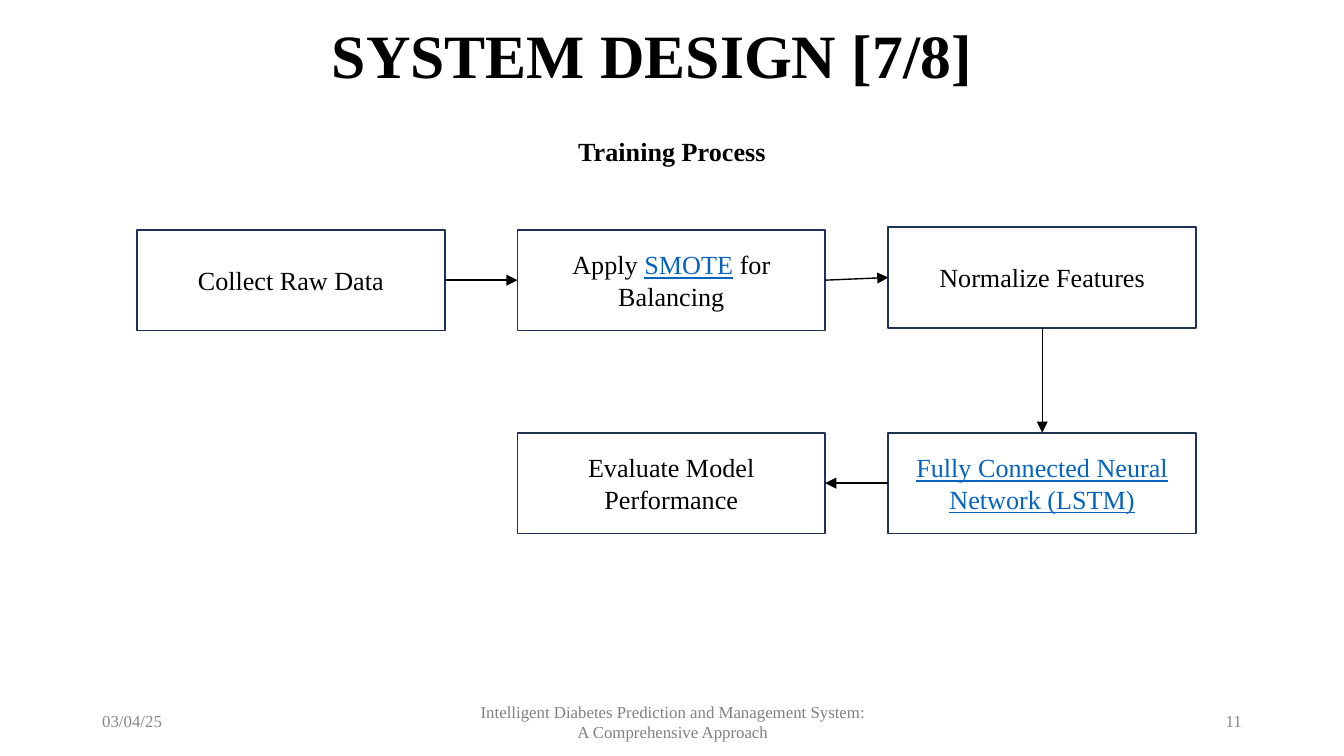
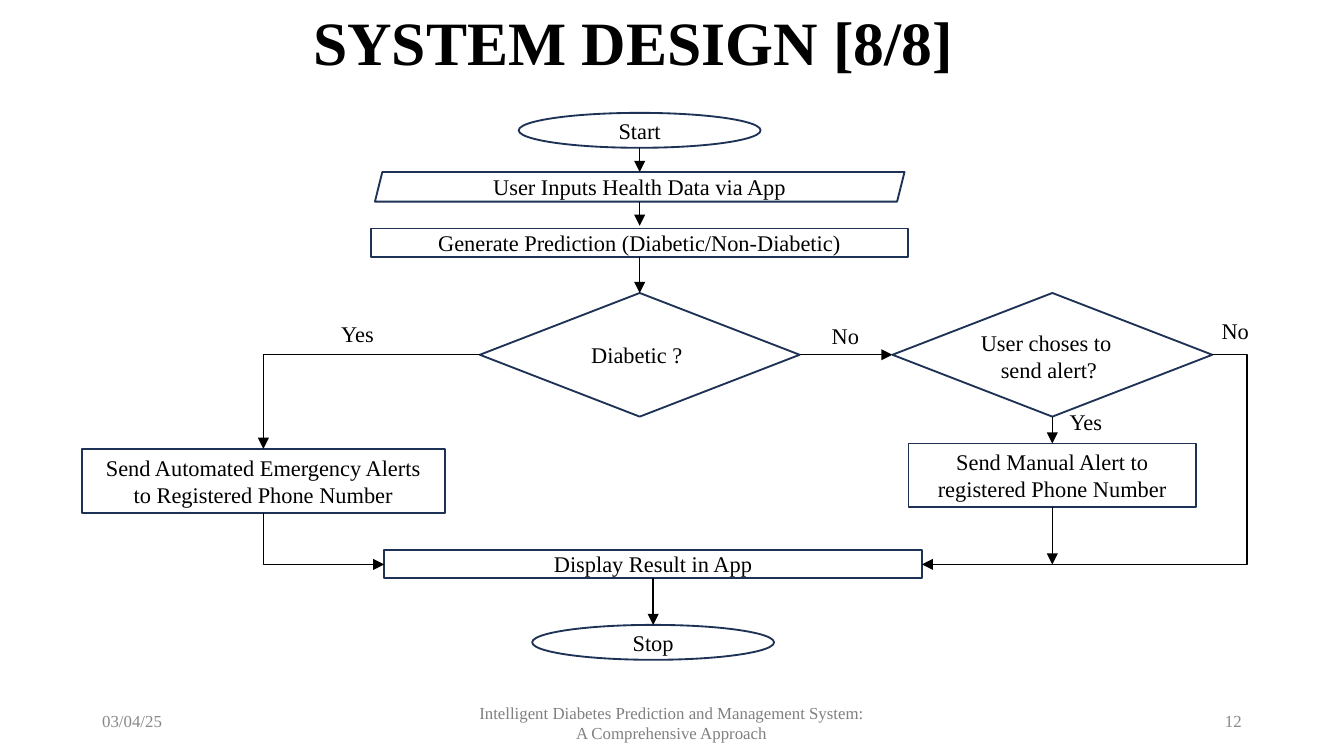
from pptx import Presentation
from pptx.dml.color import RGBColor
from pptx.enum.shapes import MSO_CONNECTOR, MSO_SHAPE
from pptx.enum.text import MSO_ANCHOR, MSO_AUTO_SIZE, PP_ALIGN
from pptx.oxml.ns import qn
from pptx.util import Inches, Pt
from lxml.etree import SubElement

FONT = "Times New Roman"
COLORS = {
    "text": "000000",
    "link": "0563C1",
    "outline": "1E3256",
    "arrow": "000000",
    "date": "888888",
    "footer": "808080",
    "background": "FFFFFF",
}
TOP, LEFT, BOTTOM, RIGHT = range(4)


def rgb(name):
    return RGBColor.from_string(COLORS[name])


def style_text(frame, size, color="text", bold=False, align=PP_ALIGN.CENTER):
    frame.word_wrap = True
    for paragraph in frame.paragraphs:
        paragraph.alignment = align
        for run in paragraph.runs:
            run.font.name = FONT
            run.font.size = Pt(size)
            run.font.bold = bold
            run.font.color.rgb = rgb(color)


def tighten(frame):
    """Middle anchoring and the narrow margins of titles and footers."""
    frame.auto_size = MSO_AUTO_SIZE.NONE
    frame.vertical_anchor = MSO_ANCHOR.MIDDLE
    frame.margin_left = frame.margin_right = Inches(0.07)
    frame.margin_top = frame.margin_bottom = Inches(0.04)


def add_label(slide, box, text, size=12, **style):
    label = slide.shapes.add_textbox(*map(Inches, box))
    label.text_frame.text = text
    style_text(label.text_frame, size, **style)
    return label


def add_step(slide, kind, box, text, size):
    step = slide.shapes.add_shape(kind, *map(Inches, box))
    step.shadow.inherit = False
    step.fill.background()
    step.line.color.rgb = rgb("outline")
    step.line.width = Pt(1)
    step.text_frame.text = text
    step.text_frame.vertical_anchor = MSO_ANCHOR.MIDDLE
    style_text(step.text_frame, size)
    return step


def mark_link(run):
    run.font.color.rgb = rgb("link")
    run.font.underline = True


def add_arrow(slide, start, end, kind=MSO_CONNECTOR.STRAIGHT, arrow_at="tail"):
    """Draw between two (x, y) points in inches."""
    arrow = slide.shapes.add_connector(kind, *map(Inches, (*start, *end)))
    arrow.line.color.rgb = rgb("arrow")
    arrow.line.width = Pt(0.75)
    properties = arrow._element.spPr
    SubElement(properties.find(qn("a:ln")), qn(f"a:{arrow_at}End"), type="triangle")
    SubElement(properties, qn("a:effectLst"))
    return arrow


def join(slide, source, source_side, target, target_side):
    arrow = add_arrow(slide, (0, 0), (0, 0))
    arrow.begin_connect(source, source_side)
    arrow.end_connect(target, target_side)


def add_elbow(slide, start, end, bend=None, arrow_at="tail"):
    """One corner by default; bend places the middle leg of a two-corner elbow."""
    elbow = add_arrow(slide, start, end, MSO_CONNECTOR.ELBOW, arrow_at)
    geometry = elbow._element.spPr.find(qn("a:prstGeom"))
    if bend is None:
        geometry.set("prst", "bentConnector2")
    else:
        SubElement(geometry.find(qn("a:avLst")), qn("a:gd"), name="adj1",
                   fmla=f"val {round(bend * 100000)}")


def add_footer(slide, number, box, project_left, project_top):
    left, top, width, height = box
    side = 2.25
    parts = [
        (left, top, side, "03/04/25", "date", PP_ALIGN.LEFT),
        (project_left, project_top, 3.07,
         "Intelligent Diabetes Prediction and Management System: "
         "A Comprehensive Approach", "footer", PP_ALIGN.CENTER),
        (left + width - side, top, side, str(number), "date", PP_ALIGN.RIGHT),
    ]
    for x, y, part_width, text, color, align in parts:
        part = add_label(slide, (x, y, part_width, height), text, 9,
                         color=color, align=align)
        tighten(part.text_frame)


def new_slide(prs, title, title_box, number, project_left, project_top):
    slide = prs.slides.add_slide(prs.slide_layouts[5])
    slide.background.fill.solid()
    slide.background.fill.fore_color.rgb = rgb("background")
    heading = slide.shapes.title
    heading.left, heading.top, heading.width, heading.height = map(Inches, title_box)
    heading.text_frame.text = title
    style_text(heading.text_frame, 33, bold=True, align=PP_ALIGN.LEFT)
    heading.text_frame.paragraphs[0].line_spacing = 0.9
    tighten(heading.text_frame)
    add_footer(slide, number, (0.69, 5.21, 8.62, 0.3), project_left, project_top)
    return slide


def training_process(slide, left, top):
    add_label(slide, (left + 3.02, top, 1.92, 0.34), "Training Process", 14, bold=True)

    # Steps
    def step(x, y, text):
        return add_step(slide, MSO_SHAPE.RECTANGLE,
                        (left + x, top + y, 2.29, 0.75), text, 14)

    collect = step(0, 0.75, "Collect Raw Data")
    balance = step(2.83, 0.75, "Apply ")
    normalize = step(5.59, 0.73, "Normalize Features")
    network = step(5.59, 2.26, "Fully Connected Neural Network (LSTM)")
    evaluate = step(2.83, 2.26, "Evaluate Model Performance")

    # Linked terms
    sentence = balance.text_frame.paragraphs[0]
    for text in ("SMOTE", " for Balancing"):
        sentence.add_run().text = text
    style_text(balance.text_frame, 14)
    mark_link(sentence.runs[1])
    mark_link(network.text_frame.paragraphs[0].runs[0])

    # Arrows
    join(slide, collect, RIGHT, balance, LEFT)
    join(slide, balance, RIGHT, normalize, LEFT)
    join(slide, normalize, BOTTOM, network, TOP)
    join(slide, network, LEFT, evaluate, RIGHT)


def alert_flow(slide, left, top):
    def at(x, y):
        return left + x, top + y

    def step(kind, x, y, width, height, text=""):
        return add_step(slide, kind, (*at(x, y), width, height), text, 12)

    # Prediction column
    middle = 4.15
    step(MSO_SHAPE.OVAL, 3.25, 0, 1.8, 0.26, "Start")
    step(MSO_SHAPE.PARALLELOGRAM, 2.18, 0.44, 3.94, 0.22,
         "User Inputs Health Data via App")
    predict = step(MSO_SHAPE.RECTANGLE, 2.15, 0.86, 4, 0.21,
                   "Generate Prediction (Diabetic/Non-Diabetic)")
    diabetic = step(MSO_SHAPE.DIAMOND, 2.96, 1.34, 2.38, 0.92)
    add_label(slide, (*at(3.27, 1.65), 1.76, 0.3), "Diabetic ? ")

    # Alert branches
    choice = step(MSO_SHAPE.DIAMOND, 6.03, 1.34, 2.38, 0.92)
    question = add_label(slide, (*at(6.56, 1.56), 1.27, 0.56),
                         "User choses to \nsend alert?")
    question.text_frame.word_wrap = False
    step(MSO_SHAPE.RECTANGLE, 0, 2.5, 2.7, 0.48,
         "Send Automated Emergency Alerts to Registered Phone Number")
    manual = step(MSO_SHAPE.RECTANGLE, 6.15, 2.46, 2.14, 0.47,
                  "Send Manual Alert to registered Phone Number")

    # Result
    display = step(MSO_SHAPE.RECTANGLE, 2.25, 3.25, 4, 0.21, "Display Result in App")
    stop = step(MSO_SHAPE.OVAL, 3.35, 3.81, 1.8, 0.26, "Stop")

    # Straight arrows
    add_arrow(slide, at(middle, 0.26), at(middle, 0.44))
    add_arrow(slide, at(middle, 0.66), at(middle, 0.84))
    join(slide, predict, BOTTOM, diabetic, TOP)
    join(slide, diabetic, RIGHT, choice, LEFT)
    join(slide, choice, BOTTOM, manual, TOP)
    add_arrow(slide, at(7.22, 2.93), at(7.22, 3.36)).begin_connect(manual, BOTTOM)
    join(slide, display, BOTTOM, stop, TOP)

    # Elbows around the branches
    add_elbow(slide, at(2.96, 1.8), at(1.35, 2.5))
    add_elbow(slide, at(2.25, 3.36), at(1.35, 2.98), arrow_at="head")
    add_elbow(slide, at(8.41, 1.8), at(6.25, 3.36), bend=-0.12)

    # Answers
    for x, y, answer in ((1.83, 1.49, "Yes"), (5.48, 1.51, "No"),
                         (7.25, 2.15, "Yes"), (8.38, 1.47, "No")):
        add_label(slide, (*at(x, y), 0.52, 0.33), answer, align=PP_ALIGN.LEFT)


def main():
    prs = Presentation()
    prs.slide_width = Inches(10)
    prs.slide_height = prs.slide_width * 9 // 16
    training = new_slide(prs, "SYSTEM DESIGN [7/8]", (2.4, -0.11, 5.2, 1.09),
                         11, 3.47, 5.22)
    training_process(training, 1.02, 0.96)
    alerts = new_slide(prs, "SYSTEM DESIGN [8/8]", (2.26, -0.21, 5.46, 1.09),
                       12, 3.46, 5.23)
    alert_flow(alerts, 0.61, 0.84)
    prs.save("out.pptx")


if __name__ == "__main__":
    main()
